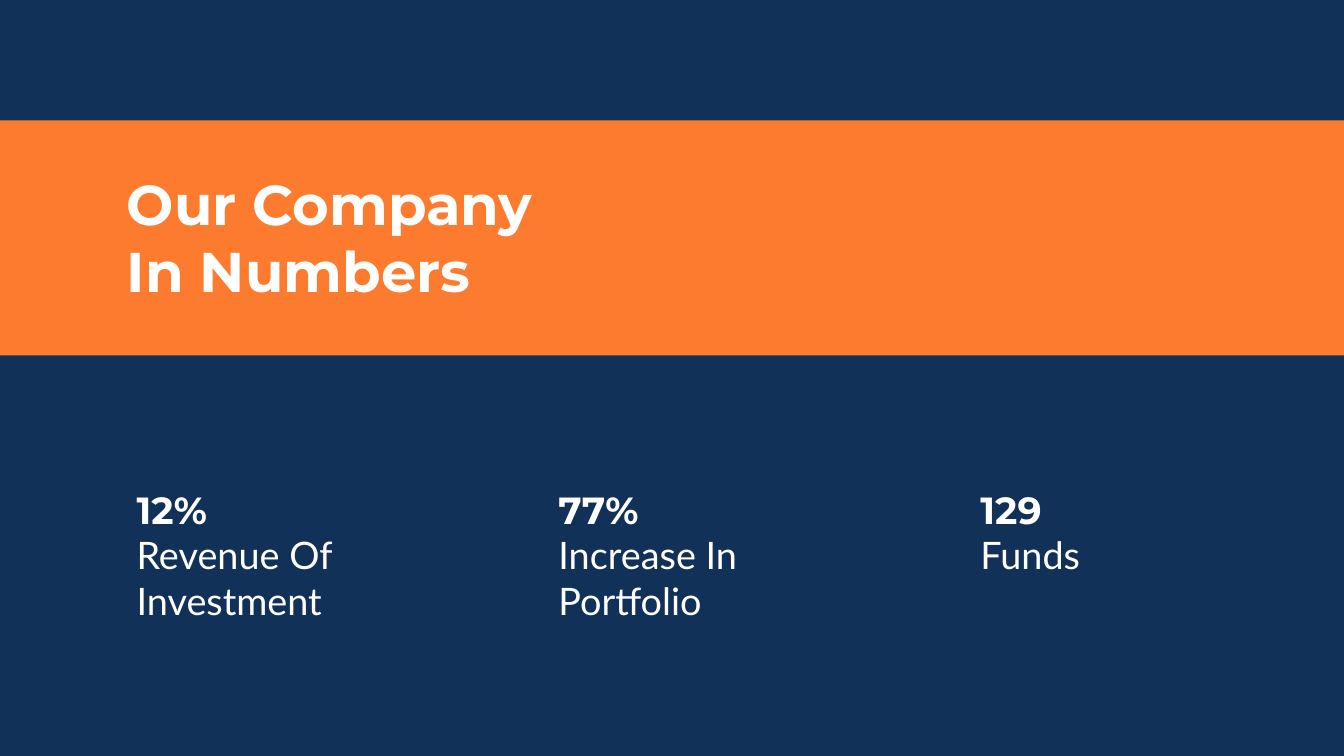
from pptx import Presentation
from pptx.dml.color import RGBColor
from pptx.enum.shapes import MSO_SHAPE as Shape
from pptx.util import Cm, Pt

COLORS = {"navy": "123158", "orange": "FD7B2F", "white": "FFFFFF"}
WIDTH, HEIGHT = 67.72, 38.1

deck = Presentation()
deck.slide_width, deck.slide_height = Cm(WIDTH), Cm(HEIGHT)
page = deck.slides.add_slide(deck.slide_layouts[6])


def add_band(top, height, color):
    band = page.shapes.add_shape(Shape.RECTANGLE, 0, Cm(top), Cm(WIDTH), Cm(height))
    band.shadow.inherit = False
    band.fill.solid()
    band.fill.fore_color.rgb = RGBColor.from_string(COLORS[color])
    band.line.fill.background()


def add_text(left, top, width, height, size, lines):
    box = page.shapes.add_textbox(Cm(left), Cm(top), Cm(width), Cm(height))
    frame = box.text_frame
    frame.word_wrap = True
    frame.text = "\n".join(text for text, _, _ in lines)
    for para, (_, font_name, bold) in zip(frame.paragraphs, lines):
        para.font.name = font_name
        para.font.size = Pt(size)
        para.font.bold = bold
        para.font.color.rgb = RGBColor.from_string(COLORS["white"])


add_band(0, HEIGHT, "navy")
add_band(6.07, 11.84, "orange")
add_text(6.15, 8.43, 23.98, 7.09, 80, [("Our Company In Numbers", "Montserrat", True)])

stats = [
    ("12%", "Revenue Of Investment", 7.19),
    ("77%", "Increase In Portfolio", 7.19),
    ("129", "Funds", 4.88),
]
for column, (figure, label, height) in enumerate(stats):
    lines = [(figure, "Montserrat", True), (label, "Lato", False)]
    add_text(6.63 + column * 21.26, 24.41, 11.94, height, 54, lines)

deck.save("out.pptx")
